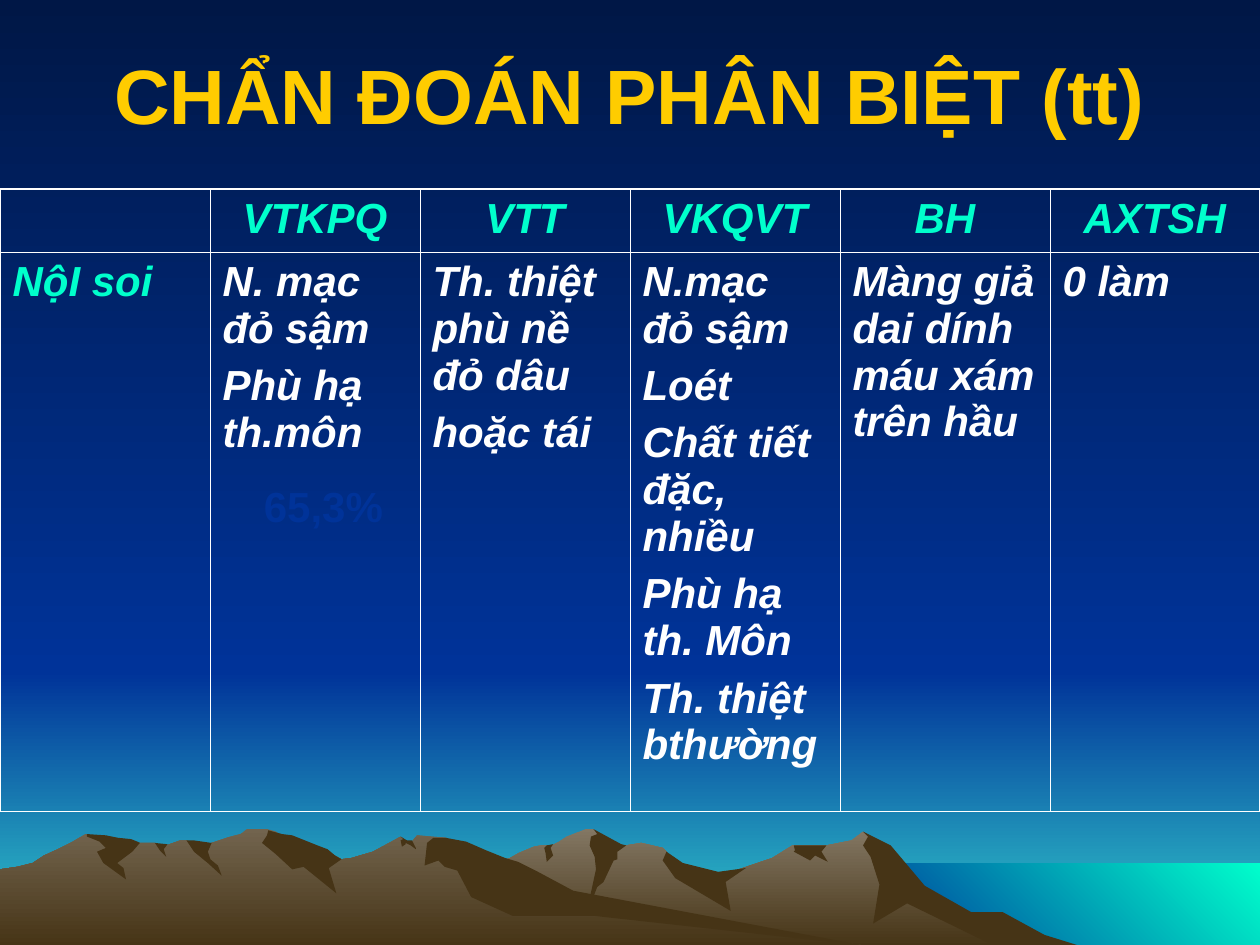
from lxml.etree import SubElement as Sub
from pptx import Presentation
from pptx.dml.color import RGBColor as RGB
from pptx.enum.shapes import MSO_SHAPE as Kind
from pptx.enum.text import MSO_ANCHOR as Anchor, PP_ALIGN as Align
from pptx.oxml.ns import qn
from pptx.util import Cm, Pt

WIDE, HIGH = 25.4, 19.05
NIGHT, BLUE, TEAL, AQUA = "001746", "003399", "33CCCC", "00FFCC"
GOLD, WHITE, SHADE = "FFCC00", "FFFFFF", "463416"
DOWN, SLANT = 270, 225  # gradient angles, counter-clockwise

# Ridges and their shaded faces: outlines in hundredths of an inch
BACK = """802,740 778,727 764,723 723,698 702,671 685,660 676,667 656,671 629,671
 613,681 566,697 536,690 529,676 526,673 509,669 497,671 486,673 474,661 471,658
 465,658 450,664 444,668 438,671 430,671 424,672 412,677 405,681 394,685 355,698
 327,709 277,739 258,751 821,751"""
FRONT = """690,751 667,748 432,712 354,665 331,663 327,668 323,668 318,664 296,676
 279,681 271,682 260,676 236,681 223,663 219,660 212,658 196,658 191,662 183,664
 168,669 160,671 148,667 143,667 132,671 128,671 123,669 111,669 94,671 68,662
 56,669 46,674 35,679 26,685 14,688 0,690 0,751"""
BACK_FACES = [
    """796,724 771,724 734,703 707,671 685,660 689,664 685,671 691,680 698,702
 693,733 720,717 792,752 858,751 829,742""",
    """471,658 474,662 469,664 468,671 472,680 473,690 465,727 474,704 479,700
 487,683 490,682 490,676 497,671 493,670""",
    "529,676 526,683 536,697 580,723 576,700 592,689 570,692 542,685",
    "650,671 630,671 631,675 630,676 643,683 647,679 657,684 652,676 656,671",
    "433,677 432,673 434,671 439,670 437,673 439,679 434,684",
]
FRONT_FACES = [
    """212,663 208,669 219,678 232,690 241,688 267,709 261,689 271,682 266,679
 260,674 252,671 232,663 224,662 213,659""",
    """370,668 354,665 344,665 339,669 337,687 348,683 353,688 363,691 374,712
 407,727 472,727 690,751 683,750 455,707 427,692 411,684 401,681 386,675""",
    """318,667 320,666 318,664 323,667 327,667 330,673 330,674 326,671 322,669
 322,670 319,672""",
    """154,667 161,668 168,669 165,676 167,682 173,687 176,695 165,685 154,676
 148,667""",
    "133,670 130,674 132,680 127,675 123,669",
    """109,668 111,669 105,676 93,685 98,689 100,698 82,685 77,676 84,673 79,668
 69,664 69,662 84,663 94,665 104,666""",
]

HEADS = ["", "VTKPQ", "VTT", "VKQVT", "BH", "AXTSH"]
SIGNS = [
    ["NộI soi"],
    ["N. mạc đỏ sậm", "Phù hạ th.môn"],
    ["Th. thiệt phù nề đỏ dâu", "hoặc tái"],
    ["N.mạc đỏ sậm", "Loét", "Chất tiết đặc, nhiều", "Phù hạ th. Môn",
     "Th. thiệt bthường"],
    ["Màng giả dai dính máu xám trên hầu"],
    ["0 làm"],
]


def tint(code):
    return RGB.from_string(code)


class Deck:
    font = "Arial"
    size = 24
    thin, thick = 0.45, 1.08

    def __init__(self):
        self.file = Presentation()
        self.file.slide_width, self.file.slide_height = Cm(WIDE), Cm(HIGH)
        self.page = self.file.slides.add_slide(self.file.slide_layouts[6])

    def paint(self, fill, hues, angle=DOWN):
        """One hue gives a solid fill, two give a gradient."""
        if len(hues) == 1:
            fill.solid()
            fill.fore_color.rgb = tint(hues[0])
            return
        fill.gradient()
        fill.gradient_angle = angle
        for stop, hue in zip(fill.gradient_stops, hues):
            stop.color.rgb = tint(hue)

    def finish(self, shape, hues, angle=DOWN):
        self.paint(shape.fill, hues, angle)
        shape.line.fill.background()
        shape.shadow.inherit = False

    def band(self, left, top, wide, high, hues, angle=DOWN):
        shape = self.page.shapes.add_shape(
            Kind.RECTANGLE, Cm(left), Cm(top), Cm(wide), Cm(high))
        self.finish(shape, hues, angle)

    def ridge(self, outline, *hues):
        first, *rest = [tuple(map(int, pair.split(",")))
                        for pair in outline.split()]
        pen = self.page.shapes.build_freeform(*first, scale=Cm(0.0254))
        pen.add_line_segments(rest, close=True)
        self.finish(pen.convert_to_shape(), hues)

    def put(self, frame, lines, hue, align=Align.LEFT, size=size, slant=False):
        frame.word_wrap = True
        for i, line in enumerate(lines):
            para = frame.add_paragraph() if i else frame.paragraphs[0]
            para.alignment = align
            if i:
                para.space_before = Pt(6)
            run = para.add_run()
            run.text = line
            face = run.font
            face.name, face.size = self.font, Pt(size)
            face.bold, face.italic = True, slant
            face.color.rgb = tint(hue)

    def label(self, left, top, wide, high, text, hue, **look):
        box = self.page.shapes.add_textbox(
            Cm(left), Cm(top), Cm(wide), Cm(high))
        box.text_frame.vertical_anchor = Anchor.MIDDLE
        self.put(box.text_frame, [text], hue, **look)

    def edge(self, cell, side, width):
        line = Sub(cell._tc.get_or_add_tcPr(), qn("a:ln" + side),
                   w=str(Pt(width)))
        Sub(Sub(line, qn("a:solidFill")), qn("a:srgbClr"), val=WHITE)

    def grid(self, left, top, wide, highs, cols):
        table = self.page.shapes.add_table(
            len(highs), cols, Cm(left), Cm(top), Cm(wide), Cm(sum(highs))).table
        table.first_row = table.horz_banding = False
        for col in table.columns:
            col.width = Cm(wide / cols)
        for r, high in enumerate(highs):
            table.rows[r].height = Cm(high)
            for c in range(cols):
                cell = table.cell(r, c)
                outer = {"L": c == 0, "R": c == cols - 1,
                         "T": r == 0, "B": r == len(highs) - 1}
                for side, rim in outer.items():
                    self.edge(cell, side, self.thick if rim else self.thin)
                cell.fill.background()
        return table


def main():
    deck = Deck()

    # Sky, horizon and sea
    deck.paint(deck.page.background.fill, [NIGHT, BLUE])
    deck.band(0, 13.54, WIDE, HIGH - 13.54, [BLUE, TEAL])
    deck.band(0, 0, WIDE, 13.54, [NIGHT, BLUE])
    deck.band(17.35, 17.4, WIDE - 17.35, HIGH - 17.4, [AQUA, BLUE], SLANT)

    # Mountains
    for ridge, light, faces in ((BACK, "837763", BACK_FACES),
                                (FRONT, "72644E", FRONT_FACES)):
        deck.ridge(ridge, light, SHADE)
        for face in faces:
            deck.ridge(face, SHADE)

    # Title
    deck.label(1.27, 0.84, 22.86, 2.11, "CHẨN ĐOÁN PHÂN BIỆT (tt)", GOLD,
               align=Align.CENTER, size=44)

    # Table of signs
    table = deck.grid(0, 3.81, WIDE, [1.27, 11.28], len(HEADS))
    for c, (head, signs) in enumerate(zip(HEADS, SIGNS)):
        if head:
            deck.put(table.cell(0, c).text_frame, [head], AQUA,
                     align=Align.CENTER, slant=True)
        deck.put(table.cell(1, c).text_frame, signs, WHITE if c else AQUA,
                 slant=True)

    # Share
    deck.label(5.07, 9.57, 3.2, 1.27, "65,3%", BLUE)

    deck.file.save("out.pptx")


if __name__ == "__main__":
    main()
